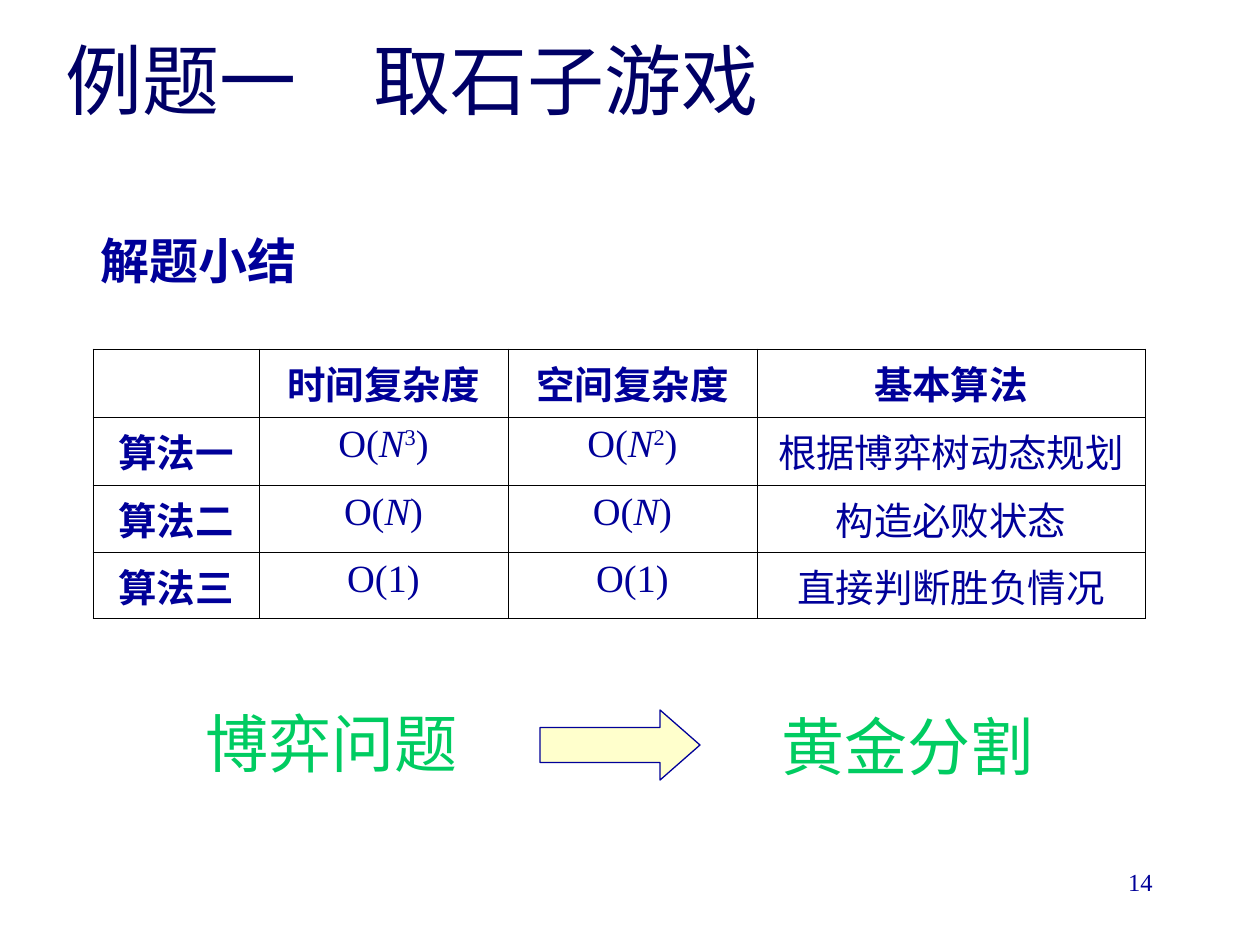
from lxml.etree import SubElement
from pptx import Presentation
from pptx.dml.color import RGBColor
from pptx.enum.shapes import MSO_SHAPE as Shape
from pptx.enum.text import MSO_ANCHOR as Anchor, MSO_AUTO_SIZE as AutoSize, PP_ALIGN as Align
from pptx.oxml import parse_xml
from pptx.oxml.ns import nsdecls, qn
from pptx.util import Pt

PX = 914400 / 126
COLORS = {
    "title": "000066",
    "text": "000099",
    "highlight": "00CC61",
    "arrow": "FFFFCC",
    "border": "000000",
}
CJK_FONT = "Noto Sans CJK SC"
LATIN_FONT = "Times New Roman"


def px(*lengths):
    return [round(length * PX) for length in lengths]


def write(paragraph, text, size=22, color="text", name=LATIN_FONT, bold=False,
          italic=False, raised=False, align=Align.LEFT):
    paragraph.alignment = align
    run = paragraph.add_run()
    run.text = text
    font = run.font
    font.size = Pt(size)
    font.bold = bold
    font.italic = italic
    font.name = name
    font.color.rgb = RGBColor.from_string(COLORS[color])
    properties = run._r.get_or_add_rPr()
    SubElement(properties, qn("a:ea"), typeface=CJK_FONT)
    if raised:
        properties.set("baseline", "30000")


presentation = Presentation()
presentation.slide_width, presentation.slide_height = px(1260, 945)
slide = presentation.slides.add_slide(presentation.slide_layouts[5])

title = slide.shapes.title
title.left, title.top, title.width, title.height = px(53, 0, 1166, 158)
title.text_frame.auto_size = AutoSize.NONE
title.text_frame.vertical_anchor = Anchor.MIDDLE
write(title.text_frame.paragraphs[0], "例题一　取石子游戏", size=44, color="title", name=CJK_FONT)

labels = [
    ("解题小结", (88, 224, 245, 72), dict(size=28, bold=True)),
    ("博弈问题", (193, 698, 318, 88), dict(size=36, color="highlight")),
    ("黄金分割", (769, 701, 278, 88), dict(size=36, color="highlight")),
    ("14", (903, 861, 262, 63), dict(size=14, align=Align.RIGHT)),
]
for text, box, style in labels:
    frame = slide.shapes.add_textbox(*px(*box)).text_frame
    frame.word_wrap = True
    write(frame.paragraphs[0], text, **style)

arrow = slide.shapes.add_shape(Shape.RIGHT_ARROW, *px(540, 710, 160, 70))
arrow.adjustments[0] = 0.5
arrow.adjustments[1] = 0.57
arrow.shadow.inherit = False
arrow.fill.solid()
arrow.fill.fore_color.rgb = RGBColor.from_string(COLORS["arrow"])
arrow.line.color.rgb = RGBColor.from_string(COLORS["text"])
arrow.line.width = Pt(0.75)

rows = [
    ["", "时间复杂度", "空间复杂度", "基本算法"],
    ["算法一", "O(N^3)", "O(N^2)", "根据博弈树动态规划"],
    ["算法二", "O(N)", "O(N)", "构造必败状态"],
    ["算法三", "O(1)", "O(1)", "直接判断胜负情况"],
]
column_widths = [166, 249, 249, 388]
row_heights = [68, 68, 67, 67]
table = slide.shapes.add_table(
    len(rows), len(column_widths), *px(93, 349, sum(column_widths), sum(row_heights))
).table
for column, width in zip(table.columns, px(*column_widths)):
    column.width = width
for row, height in zip(table.rows, px(*row_heights)):
    row.height = height

for row_index, row in enumerate(rows):
    for column_index, text in enumerate(row):
        cell = table.cell(row_index, column_index)
        cell.fill.background()
        properties = cell._tc.get_or_add_tcPr()
        for position, side in enumerate(["lnL", "lnR", "lnT", "lnB"]):
            border = parse_xml(
                f'<a:{side} {nsdecls("a")} w="{Pt(0.45)}"><a:solidFill>'
                f'<a:srgbClr val="{COLORS["border"]}"/></a:solidFill></a:{side}>'
            )
            properties.insert(position, border)
        paragraph = cell.text_frame.paragraphs[0]
        heading = row_index == 0 or column_index == 0
        raised = False
        for part in text.replace("N", "|N|").replace("^", "|^|").replace(")", "|)").split("|"):
            if part == "^":
                raised = True
            elif part:
                write(paragraph, part, bold=heading, italic=part == "N",
                      raised=raised, align=Align.CENTER)
                raised = False

presentation.save("out.pptx")
